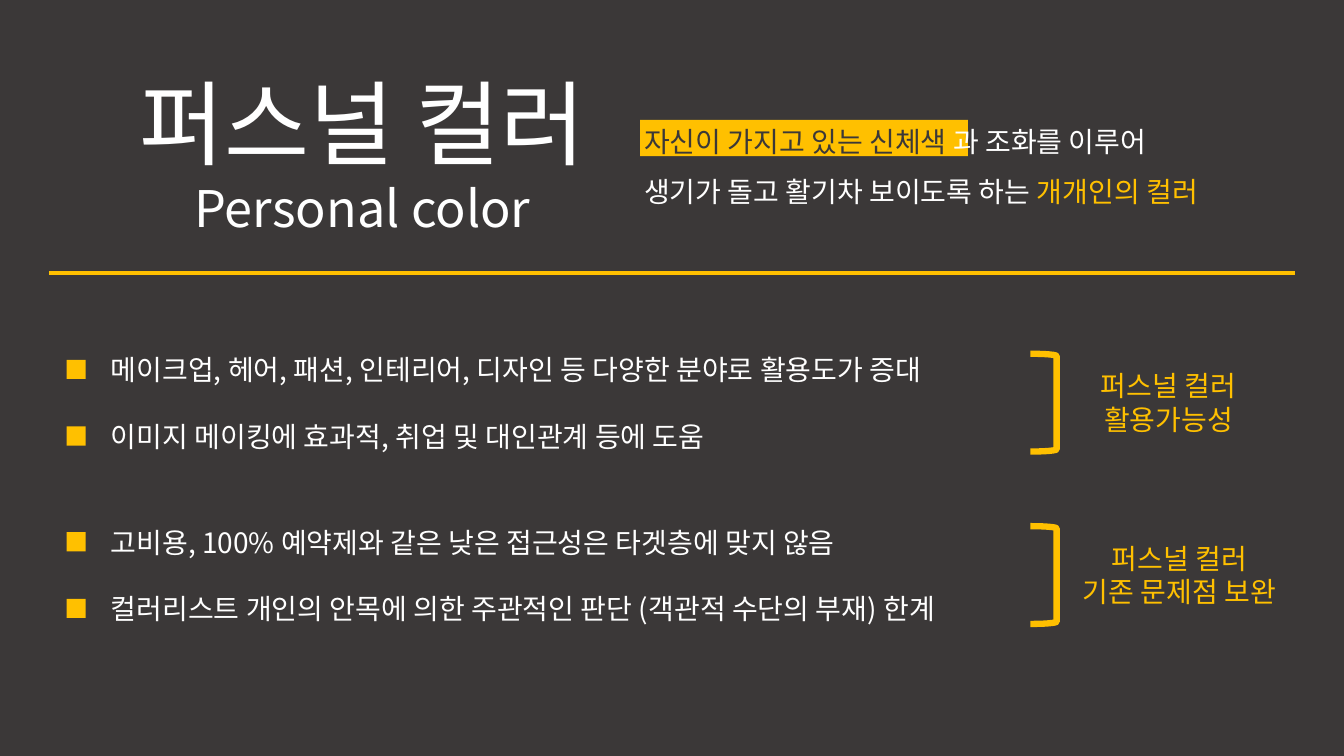
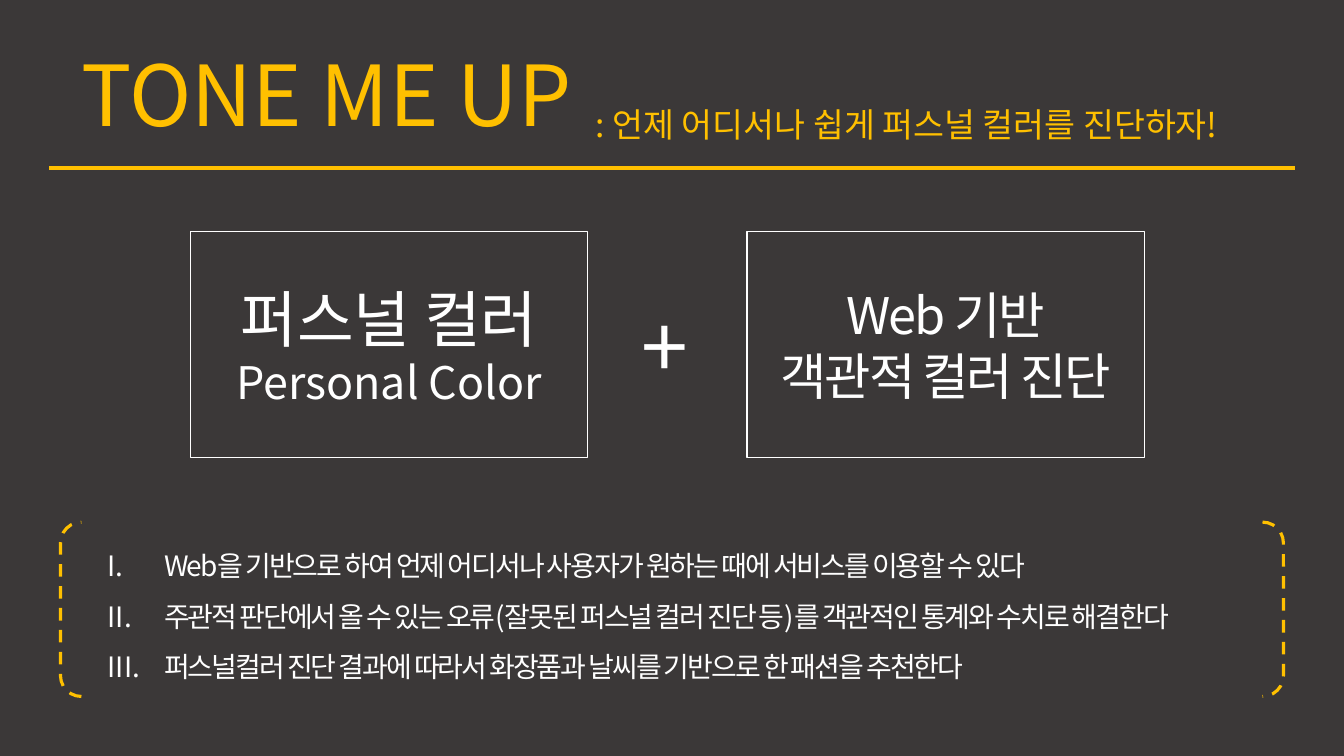
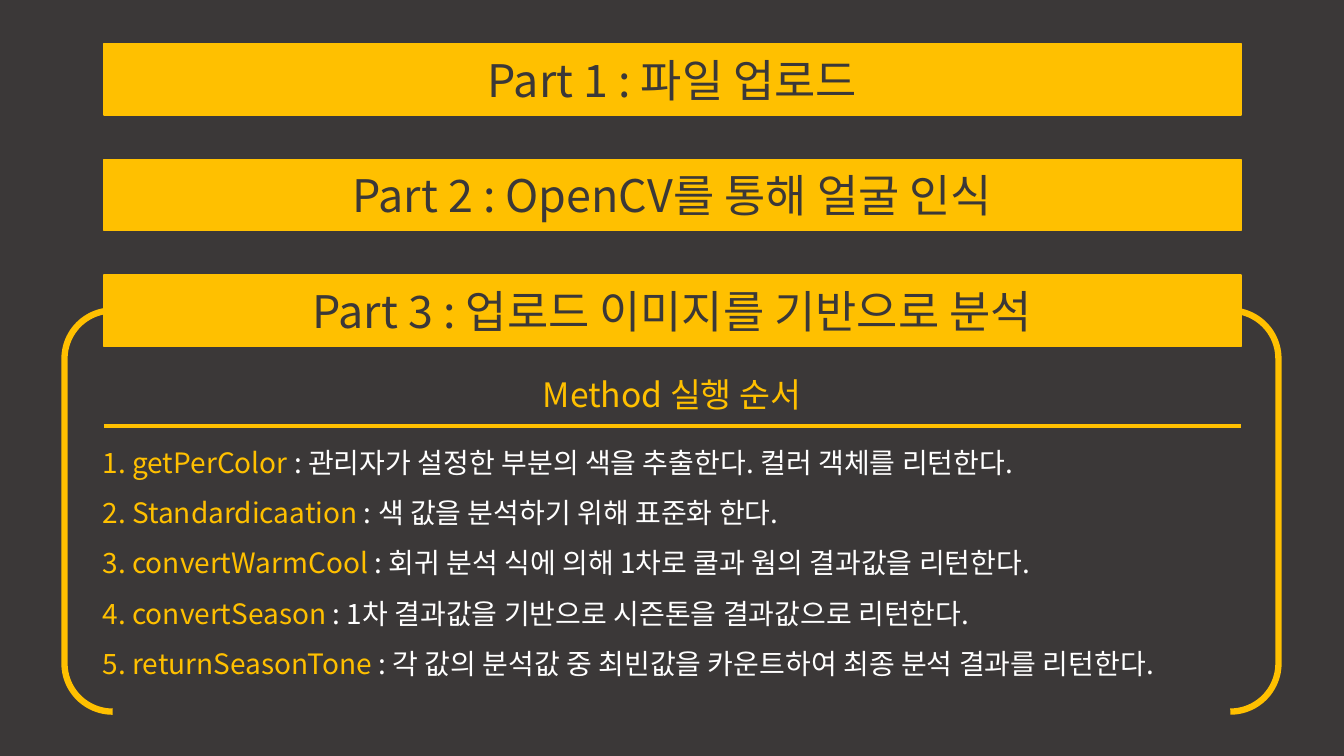
"""Build three slides about a personal colour diagnosis service."""
from lxml import etree
from pptx import Presentation
from pptx.dml.color import RGBColor
from pptx.enum.dml import MSO_LINE
from pptx.enum.shapes import MSO_CONNECTOR, MSO_SHAPE
from pptx.enum.text import MSO_ANCHOR, MSO_AUTO_SIZE, PP_ALIGN
from pptx.oxml.ns import qn
from pptx.util import Inches, Pt

DARK = RGBColor(0x3B, 0x38, 0x38)
GOLD = RGBColor(0xFF, 0xC0, 0x00)
WHITE = RGBColor(0xFF, 0xFF, 0xFF)
FONT = "Noto Sans CJK KR"
RECTANGLE = MSO_SHAPE.RECTANGLE
RIGHT_BRACKET = MSO_SHAPE.RIGHT_BRACKET
BRACKET_PAIR = MSO_SHAPE.DOUBLE_BRACKET
STRAIGHT = MSO_CONNECTOR.STRAIGHT
DASH = MSO_LINE.DASH
LEFT, CENTER = PP_ALIGN.LEFT, PP_ALIGN.CENTER
MIDDLE = MSO_ANCHOR.MIDDLE
GROW = MSO_AUTO_SIZE.SHAPE_TO_FIT_TEXT

PAGE_RULE = (0.49, 12.84)
BAND_LEFT, BAND_WIDTH, BAND_HEIGHT = 1.03, 11.28, 0.71
BAND_TOP, BAND_STEP = 0.43, 1.15
CARD_TOP, CARD_WIDTH, CARD_HEIGHT = 2.3, 3.94, 2.24
GROUP_TOP, GROUP_STEP, POINT_STEP = 3.45, 1.71, 0.66

DEFINITION = [
    [("자신이 가지고 있는 신체색 ", DARK), ("과 조화를 이루어", WHITE)],
    [("생기가 돌고 활기차 보이도록 하는 ", WHITE), ("개개인의 컬러", GOLD)],
]
POINT_GROUPS = [
    {"points": [("메이크업, 헤어, 패션, 인테리어, 디자인 등 다양한 분야로 활용도가 증대", 8.93),
                ("이미지 메이킹에 효과적, 취업 및 대인관계 등에 도움", 6.52)],
     "label": ["퍼스널 컬러", "활용가능성"], "label_width": 2.22},
    {"points": [("고비용, 100% 예약제와 같은 낮은 접근성은 타겟층에 맞지 않음", 8.2),
                ("컬러리스트 개인의 안목에 의한 주관적인 판단 (객관적 수단의 부재) 한계", 9.03)],
     "label": ["퍼스널 컬러", "기존 문제점 보완"], "label_width": 2.44},
]
CARDS = [
    (1.89, ["퍼스널 컬러", "Personal Color"], [44, 32], 0),
    (7.41, ["Web 기반", "객관적 컬러 진단"], [36, 36], -1.5),
]
FEATURES = [
    "Web을 기반으로 하여 언제 어디서나 사용자가 원하는 때에 서비스를 이용할 수 있다",
    "주관적 판단에서 올 수 있는 오류(잘못된 퍼스널 컬러 진단 등)를 객관적인 통계와 수치로 해결한다",
    "퍼스널컬러 진단 결과에 따라서 화장품과 날씨를 기반으로 한 패션을 추천한다",
]
PARTS = ["Part 1 : 파일 업로드", "Part 2 : OpenCV를 통해 얼굴 인식",
         "Part 3 : 업로드 이미지를 기반으로 분석"]
METHODS = [
    ("1. getPerColor ", ": 관리자가 설정한 부분의 색을 추출한다. 컬러 객체를 리턴한다."),
    ("2. Standardicaation ", ": 색 값을 분석하기 위해 표준화 한다."),
    ("3. convertWarmCool ", ": 회귀 분석 식에 의해 1차로 쿨과 웜의 결과값을 리턴한다."),
    ("4. convertSeason ", ": 1차 결과값을 기반으로 시즌톤을 결과값으로 리턴한다."),
    ("5. returnSeasonTone ", ": 각 값의 분석값 중 최빈값을 카운트하여 최종 분석 결과를 리턴한다."),
]


def write(frame, lines, sizes, color=WHITE, align=LEFT, spacing=None, tracking=0):
    """Fill a text frame; a line is a string or a list of (text, colour) spans."""
    for index, (line, size) in enumerate(zip(lines, sizes)):
        para = frame.add_paragraph() if index else frame.paragraphs[0]
        para.alignment = align
        para.line_spacing = spacing
        para.font.size = Pt(size)
        para.font.name = FONT
        defaults = para.font._element
        etree.SubElement(defaults, qn("a:ea")).set("typeface", FONT)
        if tracking:
            defaults.set("spc", str(int(tracking * 100)))
        if isinstance(line, str):
            para.font.color.rgb = color
            para.add_run().text = line
        else:
            for text, span_color in line:
                span = para.add_run()
                span.text = text
                span.font.color.rgb = span_color


def add_text(page, place, lines, sizes, wrap=False, **style):
    """Add a text box that grows with its text."""
    box = page.shapes.add_textbox(*map(Inches, place))
    box.text_frame.word_wrap = wrap
    box.text_frame.auto_size = GROW
    write(box.text_frame, lines, sizes, **style)
    return box


def add_shape(page, kind, place, fill=None, line=None, width=1):
    """Add a flat preset shape."""
    shape = page.shapes.add_shape(kind, *map(Inches, place))
    shape.shadow.inherit = False
    if fill is None:
        shape.fill.background()
    else:
        shape.fill.solid()
        shape.fill.fore_color.rgb = fill
    if line is None:
        shape.line.fill.background()
    else:
        shape.line.color.rgb = line
        shape.line.width = Pt(width)
    return shape


def add_rule(page, left, right, top):
    """Add a gold horizontal rule."""
    rule = page.shapes.add_connector(
        STRAIGHT, Inches(left), Inches(top), Inches(right), Inches(top))
    rule.line.color.rgb = GOLD
    rule.line.width = Pt(3)
    etree.SubElement(rule._element.spPr, qn("a:effectLst"))


def number_roman(box):
    """Number the paragraphs of a box with Roman numerals."""
    indent = Inches(0.56)
    for para in box.text_frame.paragraphs:
        properties = para._p.get_or_add_pPr()
        properties.set("marL", str(indent))
        properties.set("indent", str(-indent))
        bullet = etree.Element(qn("a:buAutoNum"), type="romanUcPeriod")
        properties.find(qn("a:defRPr")).addprevious(bullet)


def build_definition(page):
    """Explain personal colour and why it matters."""
    add_text(page, (1.15, 0.61, 4.89, 1.88), ["퍼스널 컬러", "Personal color"],
             [66, 36], align=CENTER)
    add_shape(page, RECTANGLE, (6.35, 1.19, 3.25, 0.36), GOLD)
    add_text(page, (6.29, 1.02, 6.07, 1.11), DEFINITION, [20, 20], spacing=1.5)
    add_rule(page, *PAGE_RULE, 2.71)
    for group_index, group in enumerate(POINT_GROUPS):
        group_top = GROUP_TOP + group_index * GROUP_STEP
        for index, (point, width) in enumerate(group["points"]):
            top = group_top + index * POINT_STEP
            add_shape(page, RECTANGLE, (0.66, top + 0.12, 0.19, 0.19), GOLD)
            add_text(page, (1, top, width, 0.44), [point], [20])
        add_shape(page, RIGHT_BRACKET, (10.22, group_top + 0.06, 0.26, 0.97),
                  line=GOLD, width=4.5)
        add_text(page, (10.48, group_top + 0.16, group["label_width"], 0.77),
                 group["label"], [20, 20], wrap=True, color=GOLD, align=CENTER)


def build_service(page):
    """Introduce the service and its features."""
    add_rule(page, *PAGE_RULE, 1.67)
    add_text(page, (0.71, 0.37, 5.23, 1.11), ["TONE ME UP"], [60], color=GOLD)
    add_text(page, (5.81, 0.98, 6.82, 0.5),
             [": 언제 어디서나 쉽게 퍼스널 컬러를 진단하자!"], [24], color=GOLD)
    for left, lines, sizes, tracking in CARDS:
        card = add_shape(page, RECTANGLE, (left, CARD_TOP, CARD_WIDTH, CARD_HEIGHT),
                         line=WHITE)
        card.text_frame.vertical_anchor = MIDDLE
        write(card.text_frame, lines, sizes, align=CENTER, tracking=tracking)
    add_text(page, (6.26, 2.87, 0.71, 1.11), ["+"], [60])
    features = add_text(page, (0.97, 5.23, 11.39, 1.62), FEATURES,
                        [20] * len(FEATURES), spacing=1.5, tracking=-1.5)
    number_roman(features)
    frame = add_shape(page, BRACKET_PAIR, (0.6, 5.18, 12.13, 1.73), line=GOLD, width=2.25)
    frame.adjustments[0] = 0.12
    frame.line.dash_style = DASH


def build_process(page):
    """List the parts of the process and the methods of the last one."""
    for index, part in enumerate(PARTS):
        place = (BAND_LEFT, BAND_TOP + index * BAND_STEP, BAND_WIDTH, BAND_HEIGHT)
        band = add_shape(page, RECTANGLE, place, GOLD, GOLD)
        band.text_frame.vertical_anchor = MIDDLE
        write(band.text_frame, [part], [32], color=DARK, align=CENTER)
    frame = add_shape(page, BRACKET_PAIR, (0.64, 3.08, 12.04, 3.98), line=GOLD, width=4.5)
    frame.adjustments[0] = 0.12
    add_text(page, (5.19, 3.66, 2.95, 0.5), ["Method 실행 순서"], [24],
             color=GOLD, align=CENTER)
    add_rule(page, BAND_LEFT, BAND_LEFT + BAND_WIDTH, 4.23)
    methods = [[(name, GOLD), (purpose, WHITE)] for name, purpose in METHODS]
    add_text(page, (0.92, 4.2, 11.49, 2.63), methods, [20] * len(methods), spacing=1.5)


def main():
    """Build and save the deck."""
    deck = Presentation()
    deck.slide_width, deck.slide_height = Inches(13.33), Inches(7.5)
    background = deck.slide_master.background.fill
    background.solid()
    background.fore_color.rgb = DARK
    for build in (build_definition, build_service, build_process):
        build(deck.slides.add_slide(deck.slide_layouts[6]))
    deck.save("out.pptx")


if __name__ == "__main__":
    main()
